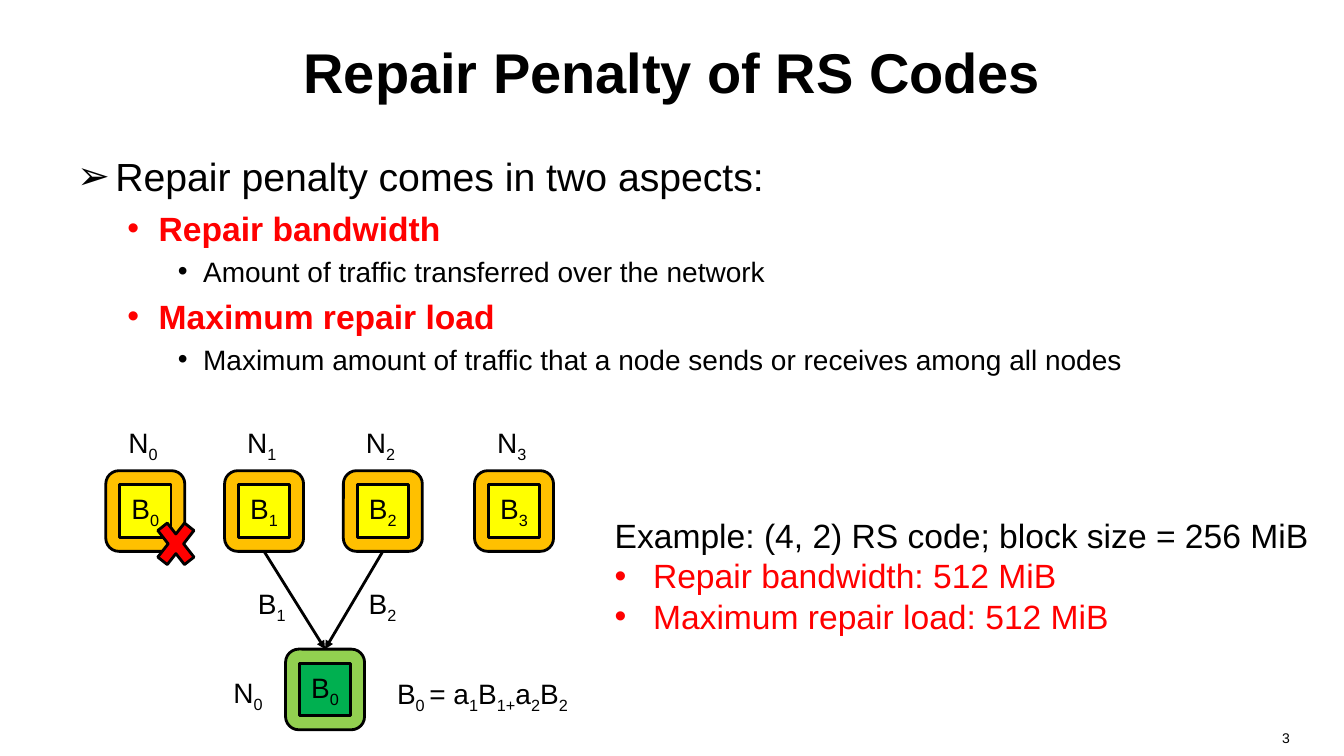
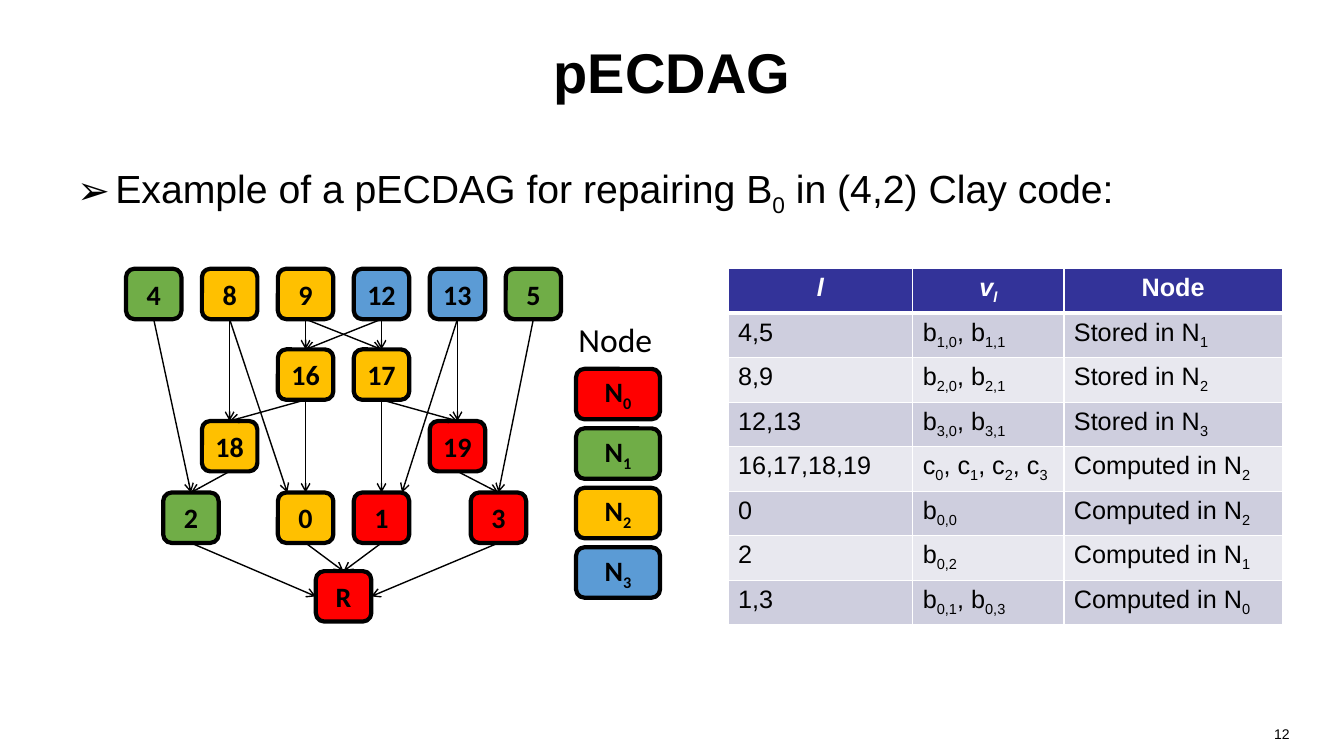
from lxml import etree
from pptx import Presentation
from pptx.dml.color import RGBColor
from pptx.enum.shapes import MSO_CONNECTOR, MSO_SHAPE
from pptx.enum.text import MSO_ANCHOR, MSO_AUTO_SIZE, PP_ALIGN
from pptx.oxml.ns import qn
from pptx.util import Inches, Pt

COLS, ROWS = 80, 45
UNIT = Inches(7.5) / ROWS
BLANK = 6
RECT, ROUND = MSO_SHAPE.RECTANGLE, MSO_SHAPE.ROUNDED_RECTANGLE
CROSS = MSO_SHAPE.MATH_MULTIPLY
LEFT, MID, RIGHT = PP_ALIGN.LEFT, PP_ALIGN.CENTER, PP_ALIGN.RIGHT
TOP, CENTER = MSO_ANCHOR.TOP, MSO_ANCHOR.MIDDLE
HUES = {
    "black": "000000", "white": "FFFFFF", "red": "FF0000",
    "amber": "FFC000", "yellow": "FFFF00", "lime": "92D050",
    "green": "00B050", "leaf": "70AD47", "blue": "5B9BD5",
    "navy": "333399", "dark": "CECEDE", "pale": "E8E8EF",
}


def hue(name):
    """Return a palette colour."""
    return RGBColor.from_string(HUES[name])


def span(*cells):
    """Turn grid units into slide lengths."""
    return [round(cell * UNIT) for cell in cells]


def put(para, text, size, color="black", font="Arial", bold=False,
        italic=False, align=LEFT):
    """Write a line in which underscores enclose subscripts."""
    para.alignment = align
    for i, part in enumerate(text.split("_")):
        if not part:
            continue
        run = para.add_run()
        run.text = part
        run.font.size = Pt(size)
        run.font.name = font
        run.font.bold = bold
        run.font.italic = italic
        run.font.color.rgb = hue(color)
        if i % 2:
            run._r.get_or_add_rPr().set("baseline", "-25000")


def bullet(para, left, hang, mark="•"):
    """Give a line a hanging bullet."""
    props = para._p.get_or_add_pPr()
    props.set("marL", str(Inches(left)))
    props.set("indent", str(-Inches(hang)))
    etree.SubElement(props, qn("a:buFont")).set("typeface", "Arial")
    etree.SubElement(props, qn("a:buChar")).set("char", mark)


def area(slide, box, anchor=TOP):
    """Add a wrapping text box and return its frame."""
    frame = slide.shapes.add_textbox(*span(*box)).text_frame
    frame.word_wrap = True
    frame.vertical_anchor = anchor
    return frame


def label(slide, box, text, size=20, **look):
    """Add a one-line label that fits its text."""
    frame = area(slide, box)
    frame.word_wrap = False
    frame.auto_size = MSO_AUTO_SIZE.SHAPE_TO_FIT_TEXT
    put(frame.paragraphs[0], text, size, **look)
    return frame


def block(slide, kind, box, fill, text="", width=2, **look):
    """Add an outlined shape with centred text."""
    shape = slide.shapes.add_shape(kind, *span(*box))
    shape.shadow.inherit = False
    shape.fill.solid()
    shape.fill.fore_color.rgb = hue(fill)
    shape.line.color.rgb = hue("black")
    shape.line.width = Pt(width)
    frame = shape.text_frame
    frame.word_wrap = False
    frame.vertical_anchor = CENTER
    frame.margin_left = frame.margin_right = 0
    if text:
        put(frame.paragraphs[0], text, 20, align=MID, **look)


def arrow(slide, start, end, width, head):
    """Draw an arrow between two grid points."""
    line = slide.shapes.add_connector(
        MSO_CONNECTOR.STRAIGHT, *span(*start, *end))
    line.line.color.rgb = hue("black")
    line.line.width = Pt(width)
    edge = line.line._get_or_add_ln()
    etree.SubElement(edge, qn("a:tailEnd")).set("type", head)
    etree.SubElement(line._element.spPr, qn("a:effectLst"))


def page(deck, title, number, row):
    """Start a slide with its title and number."""
    slide = deck.slides.add_slide(deck.slide_layouts[BLANK])
    head = area(slide, (4, 0.5, 72, 7.5), CENTER)
    put(head.paragraphs[0], title, 40, bold=True, align=MID)
    foot = area(slide, (58.7, row, 18.66, 2.1))
    put(foot.paragraphs[0], number, 10, align=RIGHT)
    return slide


def body(slide, box, lines):
    """Write an outline of (level, text) lines."""
    steps = [
        (0.38, 0.38, "➢", 28, "black", False, 14),
        (0.81, 0.31, "•", 24, "red", True, 5.5),
        (1.25, 0.25, "•", 20, "black", False, 4.6),
    ]
    frame = area(slide, box)
    for i, (level, text) in enumerate(lines):
        para = frame.add_paragraph() if i else frame.paragraphs[0]
        left, hang, mark, size, color, bold, gap = steps[level]
        if i:
            para.space_before = Pt(gap)
        bullet(para, left, hang, mark)
        put(para, text, size, color, bold=bold)


def store(slide, x, y, text, outer="amber", inner="yellow"):
    """Draw a storage node that holds one block."""
    block(slide, ROUND, (x, y, 4.7, 4.8), outer)
    block(slide, RECT, (x + 0.82, y + 0.84, 3.06, 3.12), inner, text)


def repair(slide, box):
    """Draw four nodes and the repair of the first."""
    x, y = box
    top, low, goal = y + 3, y + 13.62, x + 10.7
    spots = [x + 7.07 * i for i in range(3)] + [x + 21.95]
    for i, left in enumerate(spots):
        store(slide, left, top, f"B_{i}_")
        label(slide, (left + 0.75, y, 3.06, 2.64), f"N_{i}_")
    block(slide, CROSS, (x + 2.64, y + 5.4, 3.06, 3.9), "red")
    store(slide, goal, low, "B_0_", "lime", "green")
    for left in spots[1:3]:
        arrow(slide, (left + 2.35, top + 4.8), (goal + 2.35, low),
              2, "triangle")
    for left, down, wide, text in [
        (7, 14.88, 3.06, "N_0_"),
        (8.46, 9.6, 3.4, "B_1_"),
        (15.06, 9.6, 3.4, "B_2_"),
        (16.74, 14.94, 12.4, "B_0 _= a_1_B_1+_a_2_B_2_"),
    ]:
        label(slide, (x + left, y + down, wide, 2.64), text)


def sample(slide, box):
    """Write the worked example."""
    frame = label(slide, box,
                  "Example: (4, 2) RS code; block size = 256 MiB", 24)
    for text in ("Repair bandwidth: 512 MiB", "Maximum repair load: 512 MiB"):
        para = frame.add_paragraph()
        bullet(para, 0.38, 0.38)
        put(para, text, 24, "red")


def graph(slide, box):
    """Draw the repair graph by column and row."""
    x, y = box
    wide, high, pitch = 3.3, 3, 4.52
    rows = [0, 4.8, 9.06, 13.32, 18]
    nodes = {
        "4": (0, 0, "leaf"), "8": (1, 0, "amber"), "9": (2, 0, "amber"),
        "12": (3, 0, "blue"), "13": (4, 0, "blue"), "5": (5, 0, "leaf"),
        "16": (2, 1, "amber"), "17": (3, 1, "amber"),
        "18": (1, 2, "amber"), "19": (4, 2, "red"),
        "2": (0.49, 3, "leaf"), "0": (2, 3, "amber"),
        "1": (3, 3, "red"), "3": (4.54, 3, "red"), "R": (2.5, 4, "red"),
    }
    links = {
        "4": "2", "8": "18 0", "9": "16 17", "12": "16 17", "13": "19 1",
        "5": "3", "16": "18 0", "17": "19 1", "18": "2", "19": "3",
        "2": "R", "0": "R", "1": "R", "3": "R",
    }
    ports = {("8", "0"): (0.17, 0), ("13", "1"): (0.87, 0),
             ("2", "R"): (0, 0.5), ("3", "R"): (1, 0.5)}

    def spot(name, across, down):
        """Find a point on a node by shares of its size."""
        col, row, _ = nodes[name]
        return x + col * pitch + across * wide, y + rows[row] + down * high

    for name, (_, _, fill) in nodes.items():
        block(slide, ROUND, (*spot(name, 0, 0), wide, high), fill, name, 3,
              font="Calibri", bold=True)
    for start, ends in links.items():
        for end in ends.split():
            port = ports.get((start, end), (0.5, 0))
            arrow(slide, spot(start, 0.5, 1), spot(end, *port), 1, "arrow")


def legend(slide, box):
    """Draw the colour key of the nodes."""
    x, y = box
    label(slide, (x, y, 5.64, 3), "Node", 24, font="Calibri")
    for i, fill in enumerate(("red", "leaf", "amber", "blue")):
        block(slide, ROUND, (x + 0.45, y + 3.3 + 3.54 * i, 5, 3), fill,
              f"N_{i}_", 3, font="Calibri", bold=True)


def border(cell, widths):
    """Give a cell white borders."""
    props = cell._tc.get_or_add_tcPr()
    for side, width in widths.items():
        edge = etree.SubElement(props, qn(f"a:ln{side}"))
        edge.set("w", str(Pt(width)))
        fill = etree.SubElement(edge, qn("a:solidFill"))
        etree.SubElement(fill, qn("a:srgbClr")).set("val", HUES["white"])


def chart(slide, box, rows):
    """Build the table of vertices."""
    x, y, wide, high = box
    table = slide.shapes.add_table(
        len(rows), 3, *span(x, y, wide, high)).table
    table.first_row = table.horz_banding = False
    for col, share in zip(table.columns, (11, 9, 13)):
        col.width = round(wide * share / 33 * UNIT)
    for r, texts in enumerate(rows):
        table.rows[r].height = round(high / len(rows) * UNIT)
        fill = ("pale", "dark")[r % 2] if r else "navy"
        for c, text in enumerate(texts):
            cell = table.cell(r, c)
            border(cell, {"L": 1, "R": 1, "T": 3 if r == 1 else 1,
                          "B": 1 if r else 3})
            cell.fill.solid()
            cell.fill.fore_color.rgb = hue(fill)
            para = cell.text_frame.paragraphs[0]
            if r:
                put(para, text, 18)
            else:
                put(para, text, 18, "white", bold=True, italic=c < 2,
                    align=MID)


def main():
    """Build and save the deck."""
    deck = Presentation()
    deck.slide_width, deck.slide_height = span(COLS, ROWS)

    slide = page(deck, "Repair Penalty of RS Codes", "3", 43.1)
    body(slide, (4, 8.8, 72.5, 33.2), [
        (0, "Repair penalty comes in two aspects:"),
        (1, "Repair bandwidth"),
        (2, "Amount of traffic transferred over the network"),
        (1, "Maximum repair load"),
        (2, "Maximum amount of traffic that a node sends or receives "
            "among all nodes"),
    ])
    sample(slide, (36, 30.36, 42.9, 7.86))
    repair(slide, (6.3, 25.02))

    slide = page(deck, "pECDAG", "12", 42.9)
    body(slide, (4, 9.5, 72, 5.5), [
        (0, "Example of a pECDAG for repairing B_0_ in (4,2) Clay code:"),
    ])
    chart(slide, (43.33, 16, 33, 19.44), [
        ("l", "v_l_", "Node"),
        ("4,5", "b_1,0_, b_1,1_", "Stored in N_1_"),
        ("8,9", "b_2,0_, b_2,1_", "Stored in N_2_"),
        ("12,13", "b_3,0_, b_3,1_", "Stored in N_3_"),
        ("16,17,18,19", "c_0_, c_1_, c_2_, c_3_", "Computed in N_2_"),
        ("0", "b_0,0_", "Computed in N_2_"),
        ("2", "b_0,2_", "Computed in N_1_"),
        ("1,3", "b_0,1_, b_0,3_", "Computed in N_0_"),
    ])
    graph(slide, (7.5, 16))
    legend(slide, (33.84, 18.66))
    deck.save("out.pptx")


if __name__ == "__main__":
    main()
